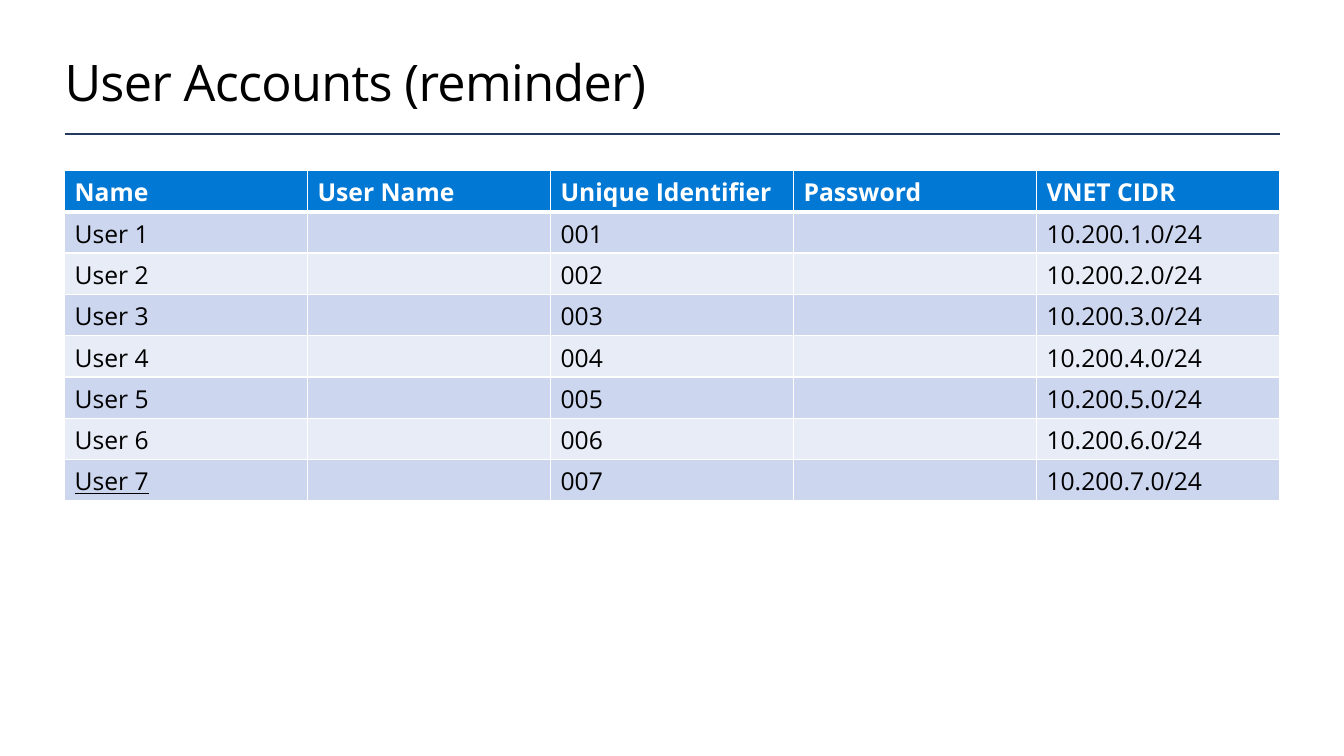
import dataclasses

import lxml.etree
import pptx
import pptx.dml.color
import pptx.enum.shapes
import pptx.enum.text
import pptx.oxml.ns
import pptx.util

Inches = pptx.util.Inches
Pt = pptx.util.Pt
qn = pptx.oxml.ns.qn

COLORS = {
    "head": "0078D4",
    "odd": "CCD6EF",
    "even": "E7ECF7",
    "rule": "243A5E",
    "white": "FFFFFF",
    "black": "000000",
}
FONT = "Open Sans"
LEFT, WIDTH = Inches(0.64), Inches(12.05)
HEADS = ["Name", "User Name", "Unique Identifier", "Password", "VNET CIDR"]
USERS = 7


@dataclasses.dataclass
class Row:
    texts: list[str]
    fill: str
    ink: str = "black"
    bold: bool = False
    top: int = 1
    base: int = 1
    under: bool = False


def color(name: str) -> pptx.dml.color.RGBColor:
    return pptx.dml.color.RGBColor.from_string(COLORS[name])


def style(run, ink: str, **form) -> None:
    for key, value in {"name": FONT, **form}.items():
        setattr(run.font, key, value)
    run.font.color.rgb = color(ink)


def border(cell, side: str, width: int) -> None:
    props = cell._tc.get_or_add_tcPr()
    line = lxml.etree.SubElement(props, qn(f"a:ln{side}"), w=str(Pt(width)))
    fill = lxml.etree.SubElement(line, qn("a:solidFill"))
    lxml.etree.SubElement(fill, qn("a:srgbClr"), val=COLORS["white"])


def draw_row(cells, row: Row) -> None:
    sides = {"L": 1, "R": 1, "T": row.top, "B": row.base}
    for col, (cell, text) in enumerate(zip(cells, row.texts)):
        for side, width in sides.items():
            border(cell, side, width)
        cell.fill.solid()
        cell.fill.fore_color.rgb = color(row.fill)
        if text:
            run = cell.text_frame.paragraphs[0].add_run()
            run.text = text
            style(run, row.ink, size=Pt(17.6), bold=row.bold,
                  underline=row.under and col == 0)


def draw_title(slide, text: str) -> None:
    title = slide.shapes.title
    place = {"left": LEFT, "top": Inches(0.5), "width": WIDTH, "height": Inches(0.61)}
    for key, value in place.items():
        setattr(title, key, value)
    frame = title.text_frame
    form = {
        "margin_left": 0, "margin_right": 0, "margin_top": 0, "margin_bottom": 0,
        "word_wrap": True,
        "vertical_anchor": pptx.enum.text.MSO_ANCHOR.MIDDLE,
        "auto_size": pptx.enum.text.MSO_AUTO_SIZE.SHAPE_TO_FIT_TEXT,
    }
    for key, value in form.items():
        setattr(frame, key, value)
    para = frame.paragraphs[0]
    para.alignment = pptx.enum.text.PP_ALIGN.LEFT
    run = para.add_run()
    run.text = text
    style(run, "black", size=Pt(36))
    run.font._element.set("spc", "-50")


def draw_rule(slide) -> None:
    high = Inches(1.33)
    rule = slide.shapes.add_connector(
        pptx.enum.shapes.MSO_CONNECTOR.STRAIGHT, LEFT, high, Inches(12.7), high)
    rule.line.color.rgb = color("rule")
    rule.line.width = Pt(2)
    lxml.etree.SubElement(rule._element.spPr, qn("a:effectLst"))


def draw_table(slide, rows: list[Row]) -> None:
    table = slide.shapes.add_table(
        len(rows), len(HEADS), LEFT, Inches(1.69), WIDTH, Inches(0.41) * len(rows)).table
    for line, row in zip(table.rows, rows):
        draw_row(line.cells, row)


deck = pptx.Presentation()
deck.slide_width, deck.slide_height = Inches(13.33), Inches(7.5)
slide = deck.slides.add_slide(deck.slide_layouts.get_by_name("Title Only"))
rows = [Row(HEADS, "head", "white", bold=True, base=3)]
for num in range(1, USERS + 1):
    rows.append(Row(
        [f"User {num}", "", f"{num:03}", "", f"10.200.{num}.0/24"],
        "odd" if num % 2 else "even",
        top=3 if num == 1 else 1,
        under=num == USERS))
draw_rule(slide)
draw_title(slide, "User Accounts (reminder)")
draw_table(slide, rows)
deck.save("out.pptx")
